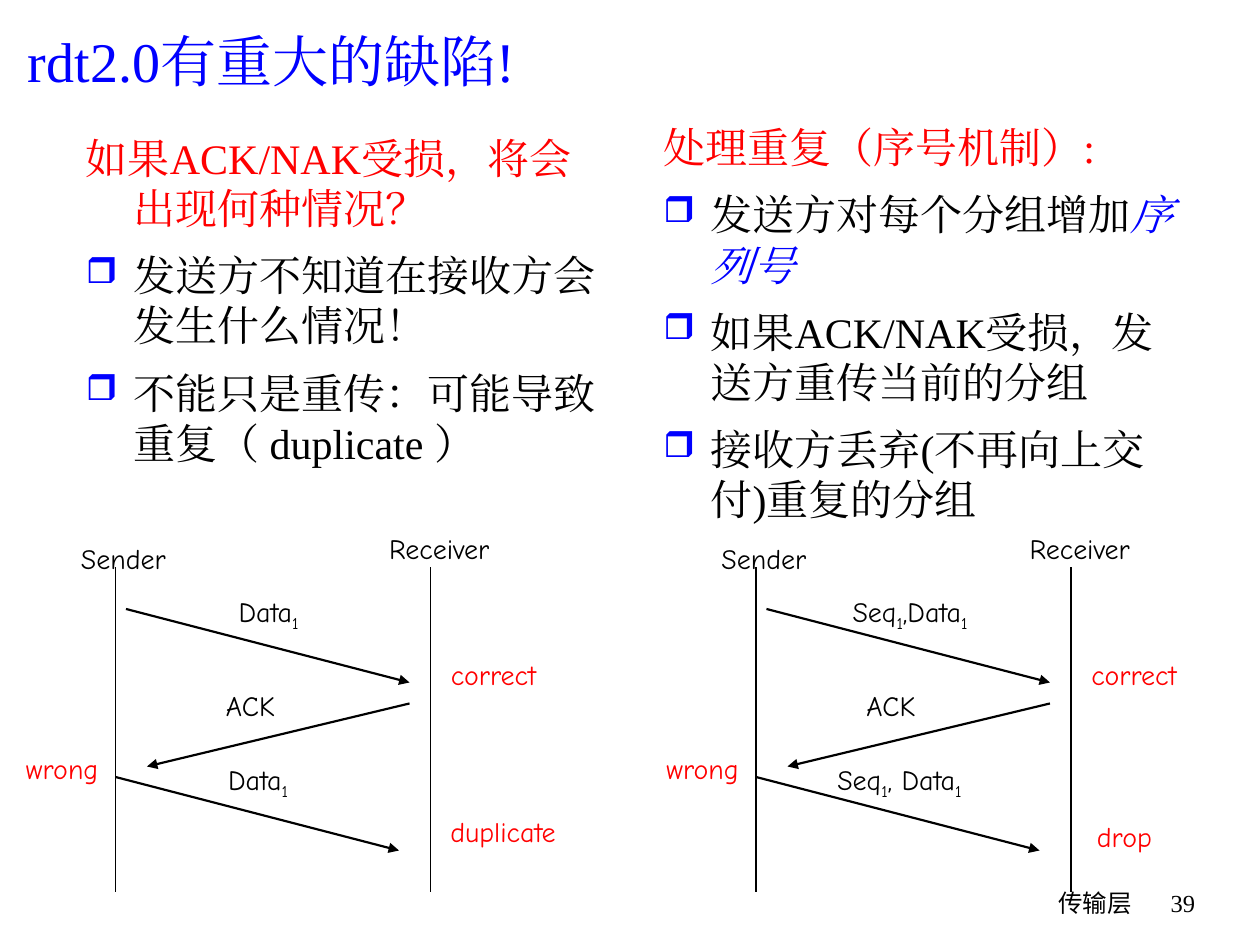
from lxml import etree
from pptx import Presentation
from pptx.dml.color import RGBColor
from pptx.enum import shapes, text
from pptx.oxml.ns import qn
from pptx.util import Pt

RED, BLUE, BLACK = "FF0000", "0000FF", "000000"
SERIF, HAND = "Times New Roman", "Comic Neue"
LEFT, MID, RIGHT = text.PP_ALIGN.LEFT, text.PP_ALIGN.CENTER, text.PP_ALIGN.RIGHT


def paint(code):
    return RGBColor.from_string(code)


class Deck:
    def __init__(self, wide, high):
        self.show = Presentation()
        self.show.slide_width, self.show.slide_height = Pt(wide), Pt(high)
        self.slide = self.show.slides.add_slide(self.show.slide_layouts[6])

    def box(self, x, y, w, h, wrap=True):
        frame = self.slide.shapes.add_textbox(Pt(x), Pt(y), Pt(w), Pt(h)).text_frame
        frame.word_wrap = wrap
        return frame

    def run(self, para, words, size, color, face, slant=False, base=0):
        run = para.add_run()
        run.text = words
        font = run.font
        font.size, font.name, font.italic = Pt(size), face, slant
        font.color.rgb = paint(color)
        props = run._r.get_or_add_rPr()
        etree.SubElement(props, qn("a:ea")).set("typeface", face)
        if base:
            props.set("baseline", str(base))

    def line(self, x, y, w, h, words, size, color=BLACK, face=SERIF, align=LEFT):
        frame = self.box(x, y, w, h)
        frame.paragraphs[0].alignment = align
        self.run(frame.paragraphs[0], words, size, color, face)
        return frame

    def label(self, x, y, w, words, color=BLACK):
        frame = self.box(x, y, w, 26.6, False)
        para = frame.paragraphs[0]
        para.alignment = MID
        for at, part in enumerate(words.split("_")):
            if at:
                self.run(para, part[0], 16, color, HAND, base=-25000)
                part = part[1:]
            if part:
                self.run(para, part, 16, color, HAND)

    def points(self, x, y, w, h, head, items):
        frame = self.box(x, y, w, h)
        for at, runs in enumerate([[(head, RED)]] + items):
            para = frame.paragraphs[0] if at == 0 else frame.add_paragraph()
            props = para._p.get_or_add_pPr()
            props.set("marL", str(Pt(27)))
            props.set("indent", str(Pt(-27)))
            if at:
                para.space_before = Pt(9.5)
                tint = etree.SubElement(props, qn("a:buClr"))
                etree.SubElement(tint, qn("a:srgbClr")).set("val", BLUE)
                etree.SubElement(props, qn("a:buSzPct")).set("val", "85000")
                etree.SubElement(props, qn("a:buChar")).set("char", "❒")
            for words, color in runs:
                self.run(para, words, 24, color, SERIF, color == BLUE)

    def stroke(self, x1, y1, x2, y2, width=0.75, arrow=False):
        link = self.slide.shapes.add_connector(
            shapes.MSO_CONNECTOR.STRAIGHT, Pt(x1), Pt(y1), Pt(x2), Pt(y2))
        link.line.width = Pt(width)
        link.line.color.rgb = paint(BLACK)
        if arrow:
            etree.SubElement(link.line._get_or_add_ln(), qn("a:tailEnd")).set("type", "triangle")
        etree.SubElement(link._element.spPr, qn("a:effectLst"))

    def flow(self, x, first, again, last):
        for pole in (66, 246):
            self.stroke(x + pole, 324, x + pole, 510)
        for x1, y1, x2, y2 in ((72, 348, 234, 390), (234, 402, 84, 438), (66, 444, 228, 486)):
            self.stroke(x + x1, y1, x + x2, y2, 1.25, True)
        tags = [("Sender", 36, 306, 69, BLACK), ("Receiver", 211, 300, 80, BLACK),
                ("ACK", 120, 390, 46, BLACK), ("wrong", 6, 426, 59, RED),
                ("correct", 246, 372, 72, RED), first, again, last]
        for words, left, top, wide, color in tags:
            self.label(x + left, top, wide, words, color)


def main():
    deck = Deck(720, 540)
    title = deck.line(0, 5, 677.5, 59, "rdt2.0有重大的缺陷!", 32, BLUE)
    title.margin_left = Pt(16)
    title.vertical_anchor = text.MSO_ANCHOR.MIDDLE
    deck.points(42, 72, 309.6, 210, "如果ACK/NAK受损，将会出现何种情况？", [
        [("发送方不知道在接收方会发生什么情况！", BLACK)],
        [("不能只是重传：可能导致重复（ duplicate ）", BLACK)]])
    deck.points(372, 66, 308, 264, "处理重复（序号机制）:", [
        [("发送方对每个分组增加", BLACK), ("序列号", BLUE)],
        [("如果ACK/NAK受损，发送方重传当前的分组", BLACK)],
        [("接收方丢弃(不再向上交付)重复的分组", BLACK)]])
    deck.line(426, 504, 228, 36, "传输层", 14, face=HAND, align=RIGHT)
    deck.line(654, 504, 36, 36, "39", 14, align=RIGHT)
    deck.flow(0, ("Data_1", 126, 336, 55, BLACK), ("Data_1", 120, 432, 55, BLACK),
              ("duplicate", 246, 462, 83, RED))
    deck.flow(366, ("Seq_1,Data_1", 106, 336, 96, BLACK), ("Seq_1, Data_1", 98, 432, 100, BLACK),
              ("drop", 252, 465, 49, RED))
    deck.show.save("out.pptx")


if __name__ == "__main__":
    main()
